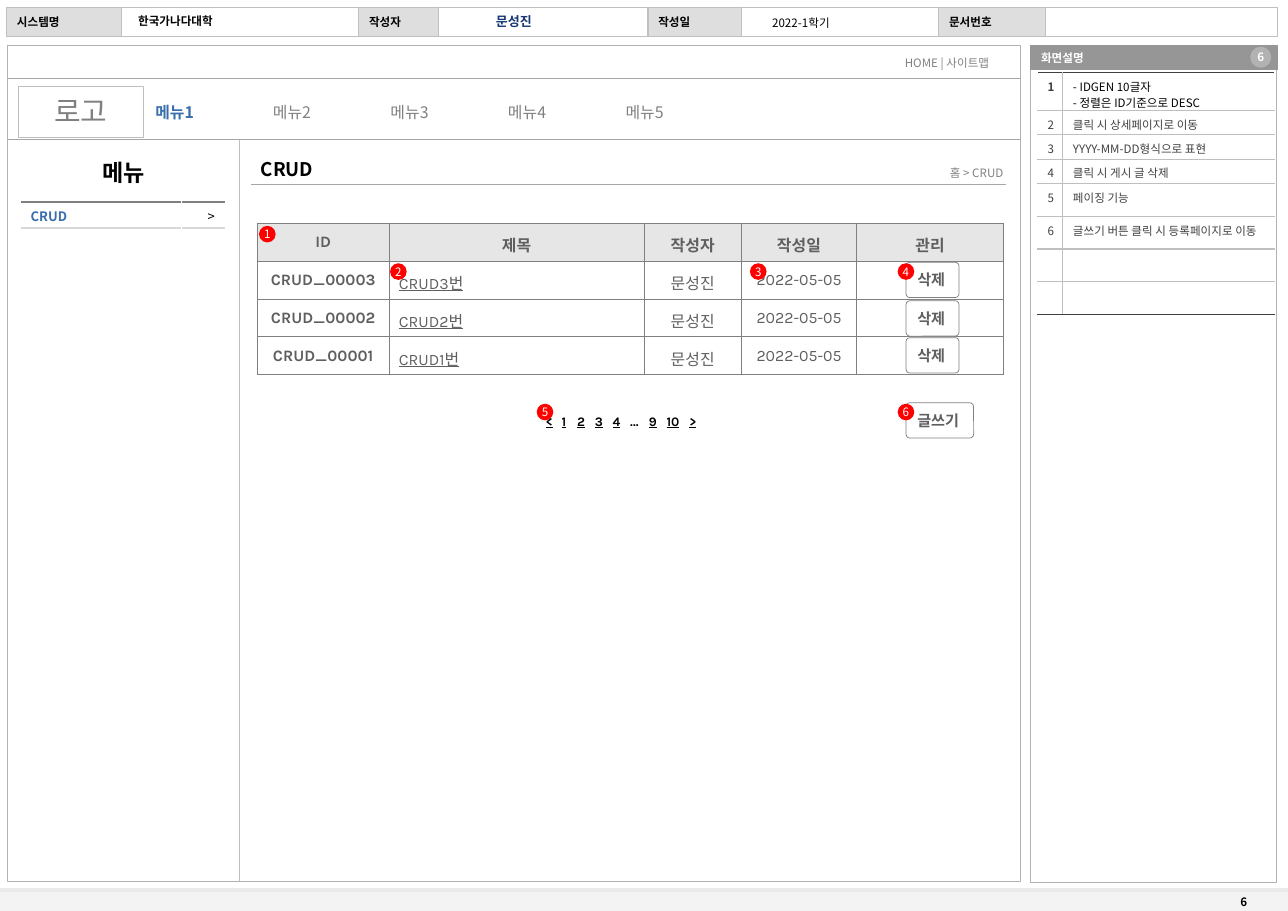
from dataclasses import dataclass, replace
from typing import Optional

from lxml import etree
from pptx import Presentation
from pptx.dml.color import RGBColor
from pptx.enum.shapes import MSO_CONNECTOR, MSO_SHAPE
from pptx.enum.text import MSO_ANCHOR, PP_ALIGN
from pptx.oxml.ns import qn
from pptx.util import Inches, Pt

# One grid column or row is a tenth of an inch.
COLUMNS, ROWS = 123.82, 87.54
COLORS = {
    "white": "FFFFFF", "black": "000000", "footer": "F3F3F3", "footer_edge": "EAEAEA",
    "frame": "B2B2B2", "label": "DEDEDE", "label_edge": "C0C0C0", "navy": "163873",
    "panel": "969696", "pale": "BFBFBF", "rule": "A6A6A6", "gray": "808080",
    "blue": "376EAB", "light": "D9D9D9", "dark": "404040", "head": "E6E6E6",
    "body": "5F5F5F", "red": "FF0000",
}


@dataclass(frozen=True)
class Area:
    """A rectangle in grid columns and rows."""
    column: float
    row: float
    columns: float
    rows: float


@dataclass(frozen=True)
class Style:
    """The look of a span of text."""
    size: float = 8
    color: str = "black"
    bold: bool = False
    face: str = "Noto Sans CJK KR"
    underline: bool = False


@dataclass(frozen=True)
class Span:
    """A run of text with its style."""
    text: str
    style: Style


SMALL = Style()
LABEL = Style(bold=True)
MUTED = Style(color="gray")
BODY = Style(11, "body", face="Karla")
STRONG = replace(BODY, bold=True)
BUTTON = replace(STRONG, size=10.5)
PAGER = Style(9, bold=True, face="Karla")
LEFT, CENTER, RIGHT = PP_ALIGN.LEFT, PP_ALIGN.CENTER, PP_ALIGN.RIGHT


def grid(count: float) -> int:
    """Turn grid steps into a length."""
    return Inches(count / 10)


def rgb(name: str) -> RGBColor:
    """Look up a colour."""
    return RGBColor.from_string(COLORS[name])


def place(area: Area) -> tuple:
    """Turn an area into left, top, width and height."""
    return tuple(map(grid, (area.column, area.row, area.columns, area.rows)))


def write(frame, spans: list[Span], align=LEFT, stops: tuple = (), first: bool = True) -> None:
    """Write one paragraph run by run, with tab stops given in columns."""
    para = frame.paragraphs[0] if first else frame.add_paragraph()
    para.alignment = align
    if stops:
        tabs = etree.SubElement(para._p.get_or_add_pPr(), qn("a:tabLst"))
        for stop in stops:
            etree.SubElement(tabs, qn("a:tab"), pos=str(grid(stop)), algn="l")
    for span in spans:
        run, style = para.add_run(), span.style
        run.text = span.text
        run.font.size, run.font.bold = Pt(style.size), style.bold
        run.font.underline = style.underline
        run.font.color.rgb = rgb(style.color)
        run.font.name = style.face
        etree.SubElement(run._r.get_or_add_rPr(), qn("a:ea"), typeface=style.face)
    if not spans:
        etree.SubElement(para._p, qn("a:endParaRPr"), sz="800")


def set_margins(target, across: float, top: float, bottom: float) -> None:
    """Set the inner margins of a frame or a cell."""
    target.margin_left = target.margin_right = grid(across)
    target.margin_top, target.margin_bottom = grid(top), grid(bottom)


def add_text(area: Area, spans: list[Span], align=LEFT, stops: tuple = ()) -> None:
    """Add a text box."""
    frame = page.shapes.add_textbox(*place(area)).text_frame
    frame.word_wrap = True
    set_margins(frame, 1, 0.5, 0.5)
    write(frame, spans, align, stops)


def add_box(area: Area, fill: Optional[str] = None, edge: Optional[str] = None,
            width: float = 0.75, span: Optional[Span] = None, align=LEFT,
            kind=MSO_SHAPE.RECTANGLE, margin: float = 1) -> None:
    """Add a preset shape with optional text."""
    box = page.shapes.add_shape(kind, *place(area))
    box.shadow.inherit = False
    if kind == MSO_SHAPE.ROUNDED_RECTANGLE:
        box.adjustments[0] = 0.11
    if fill:
        box.fill.solid()
        box.fill.fore_color.rgb = rgb(fill)
    else:
        box.fill.background()
    if edge:
        box.line.color.rgb, box.line.width = rgb(edge), Pt(width)
    else:
        box.line.fill.background()
    if span:
        frame = box.text_frame
        frame.word_wrap, frame.vertical_anchor = True, MSO_ANCHOR.MIDDLE
        set_margins(frame, margin, 0, 0)
        write(frame, [span], align)


def add_line(start: tuple, end: tuple, color: str, width: float = 0.75) -> None:
    """Add a straight line between two grid points."""
    line = page.shapes.add_connector(MSO_CONNECTOR.STRAIGHT, *map(grid, start + end))
    line.line.color.rgb, line.line.width = rgb(color), Pt(width)
    etree.SubElement(line._element.spPr, qn("a:effectLst"))


def add_badge(column: float, row: float, number: int) -> None:
    """Add a red numbered disc."""
    add_box(Area(column, row, 1.6, 1.6), "red", align=CENTER, kind=MSO_SHAPE.OVAL, margin=0,
            span=Span(str(number), Style(color="white")))


def add_button(row: float, columns: float, text: str) -> None:
    """Add a rounded button."""
    add_box(Area(87.1, row, columns, 3.4), "white", "gray", 0.5, Span(text, BUTTON),
            kind=MSO_SHAPE.ROUNDED_RECTANGLE)


def add_grid_table(column: float, row: float, widths: list[float], heights: list[float]):
    """Add a plain table."""
    area = Area(column, row, sum(widths), sum(heights))
    table = page.shapes.add_table(len(heights), len(widths), *place(area)).table
    table.first_row = table.horz_banding = False
    for item, width in zip(table.columns, widths):
        item.width = grid(width)
    for item, height in zip(table.rows, heights):
        item.height = grid(height)
    return table


def fill_cell(cell, lines: list[Span], borders: dict, margins: tuple, width: float = 1,
              align=LEFT, fill: str = "white", anchor=MSO_ANCHOR.MIDDLE) -> None:
    """Give a cell its borders, fill and one paragraph for each span."""
    for side in (side for side in "LRTB" if side in borders):
        edge = etree.SubElement(cell._tc.get_or_add_tcPr(), qn(f"a:ln{side}"), w=str(Pt(width)))
        solid = etree.SubElement(edge, qn("a:solidFill"))
        etree.SubElement(solid, qn("a:srgbClr"), val=COLORS[borders[side]])
    cell.fill.solid()
    cell.fill.fore_color.rgb = rgb(fill)
    cell.vertical_anchor = anchor
    set_margins(cell, *margins)
    for index, span in enumerate(lines or [None]):
        write(cell.text_frame, [span] if span else [], align, first=index == 0)


deck = Presentation()
deck.slide_width, deck.slide_height = grid(COLUMNS), grid(ROWS)
page = deck.slides.add_slide(deck.slide_layouts[6])

# Footer and frames
add_box(Area(0, 85.54, COLUMNS, 2), "footer")
add_line((0, 85.54), (COLUMNS, 85.54), "footer_edge", 3)
add_text(Area(118.25, 85.54, 5.5, 2.4), [Span("6", LABEL)])
add_box(Area(0.75, 4.4, 97.35, 80.35), edge="frame")
add_box(Area(99.05, 6.7, 23.7, 78.05), edge="frame", width=0.5)

# Document header
add_box(Area(0.65, 0.75, 122.15, 2.8), "white", "label_edge")
for column, columns, text in [(0.65, 11, "시스템명"), (34.5, 7.7, "작성자"),
                              (62.3, 9, "작성일"), (90.25, 10.25, "문서번호")]:
    add_box(Area(column, 0.7, columns, 2.8), "label", "label_edge", span=Span(text, LABEL))
add_text(Area(12.3, 0.85, 22.2, 2.4), [Span("한국가나다대학", LABEL)])
add_text(Area(42.3, 0.8, 14.2, 2.5), [Span("문성진", Style(9, "navy", True))], CENTER)
add_text(Area(71, 1, 12, 2.4), [Span("2022-1학기", SMALL)], CENTER)

# Site header and menus
for row in (7.55, 13.45):
    add_line((0.8, row), (98.1, row), "rule")
add_line((23, 13.5), (23, 84.7), "pale", 0.25)
add_text(Area(86, 4.9, 12, 2.4), [Span("HOME | 사이트맵", MUTED)])
add_box(Area(1.75, 8.25, 12.05, 4.9), "white", "pale", 0.25, Span("로고", Style(20, "gray")), CENTER)
menu = [Span("메뉴1", Style(11, "blue", True))]
menu += [Span(f"\t메뉴{number}", Style(11, "gray")) for number in range(2, 6)]
add_text(Area(13.95, 9.4, 65.2, 2.9), menu, stops=tuple(11.3 * step for step in range(1, 5)))
add_text(Area(0.7, 14.7, 22.3, 3.7), [Span("메뉴", Style(16, bold=True))], CENTER)
side_menu = add_grid_table(1.95, 19.4, [15.5, 4.2], [2.5])
side_edges = {"L": "white", "R": "white", "T": "gray", "B": "light"}
for index, (text, style, align) in enumerate([("CRUD", Style(9, "blue", True), LEFT),
                                              (">", Style(9), RIGHT)]):
    fill_cell(side_menu.cell(0, index), [Span(text, style)], side_edges, (1, 0.4, 0.2), align=align)

# Page title
add_line((24.1, 17.75), (96.7, 17.75), "rule")
add_text(Area(24.1, 14.7, 12, 3.2), [Span("CRUD", Style(13, bold=True))])
add_text(Area(82.45, 15.5, 15, 2.4), [Span("홈 > CRUD", MUTED)], RIGHT)

# Screen notes
add_box(Area(99.1, 4.4, 23.7, 2.3), "panel", "panel", 0.5, Span("화면설명", Style(color="white", bold=True)))
add_box(Area(120.2, 4.5, 2, 2), "frame", align=CENTER, kind=MSO_SHAPE.OVAL, margin=0,
        span=Span("6", Style(color="white", bold=True)))
notes = [["- IDGEN 10글자", "- 정렬은 ID기준으로 DESC"], ["클릭 시 상세페이지로 이동"],
         ["YYYY-MM-DD형식으로 표현"], ["클릭 시 게시 글 삭제"], ["페이징 기능"],
         ["글쓰기 버튼 클릭 시 등록페이지로 이동"], [], []]
note_table = add_grid_table(99.7, 6.95, [2.45, 20.4], [3.65, 2.35, 2.35, 2.35, 3.15, 3.15, 3.1, 3.15])
for index, lines in enumerate(notes):
    top = "pale" if index else "dark"
    bottom = "pale" if index < len(notes) - 1 else "dark"
    ink = Style(color="dark" if index else "black")
    number = [Span(str(index + 1), Style(color="dark", bold=index == 0))] if lines else []
    for position, (side, spans) in enumerate([("R", number), ("L", [Span(line, ink) for line in lines])]):
        fill_cell(note_table.cell(index, position), spans, {side: "pale", "T": top, "B": bottom},
                  (1, 0.5, 0), anchor=MSO_ANCHOR.TOP)

# Post list
posts = [["ID", "제목", "작성자", "작성일", "관리"]]
posts += [[f"CRUD_0000{n}", f"CRUD{n}번", "문성진", "2022-05-05", ""] for n in (3, 2, 1)]
post_table = add_grid_table(24.7, 21.45, [12.75, 24.45, 9.4, 11.05, 14.15], [3.63] * 4)
for row, texts in enumerate(posts):
    for column, text in enumerate(texts):
        is_title = row > 0 and column == 1
        is_korean = column in (1, 2) or (row == 0 and column > 0)
        style = STRONG if row == 0 or column == 0 else replace(BODY, underline=is_title)
        fill_cell(post_table.cell(row, column), [Span(text, style)] if text else [],
                  dict.fromkeys("LRTB", "gray"), (0.9, 1.3, 0.5) if is_korean else (0.9, 0.9, 0.9),
                  0.5, LEFT if is_title else CENTER, "white" if row else "head")
for row in (25.2, 28.9, 32.45):
    add_button(row, 5.1, "삭제")

# Pager, write button and badges
pager = []
for index, text in enumerate(["<", "1", "2", "3", "4", "…", "9", "10", ">"]):
    pager += [Span("\t", PAGER)] if index else []
    pager.append(Span(text, replace(PAGER, underline=text != "…")))
add_text(Area(51.5, 39.2, 20, 2.3), pager, stops=(1.5, 3, 4.7, 6.4, 8.1, 9.9, 11.6, 13.8))
add_button(38.7, 6.5, "글쓰기")
for number, (column, row) in enumerate([(24.9, 21.7), (37.5, 25.3), (72.1, 25.3), (86.3, 25.3),
                                        (51.6, 38.8), (86.3, 38.8)], 1):
    add_badge(column, row, number)

deck.save("out.pptx")
